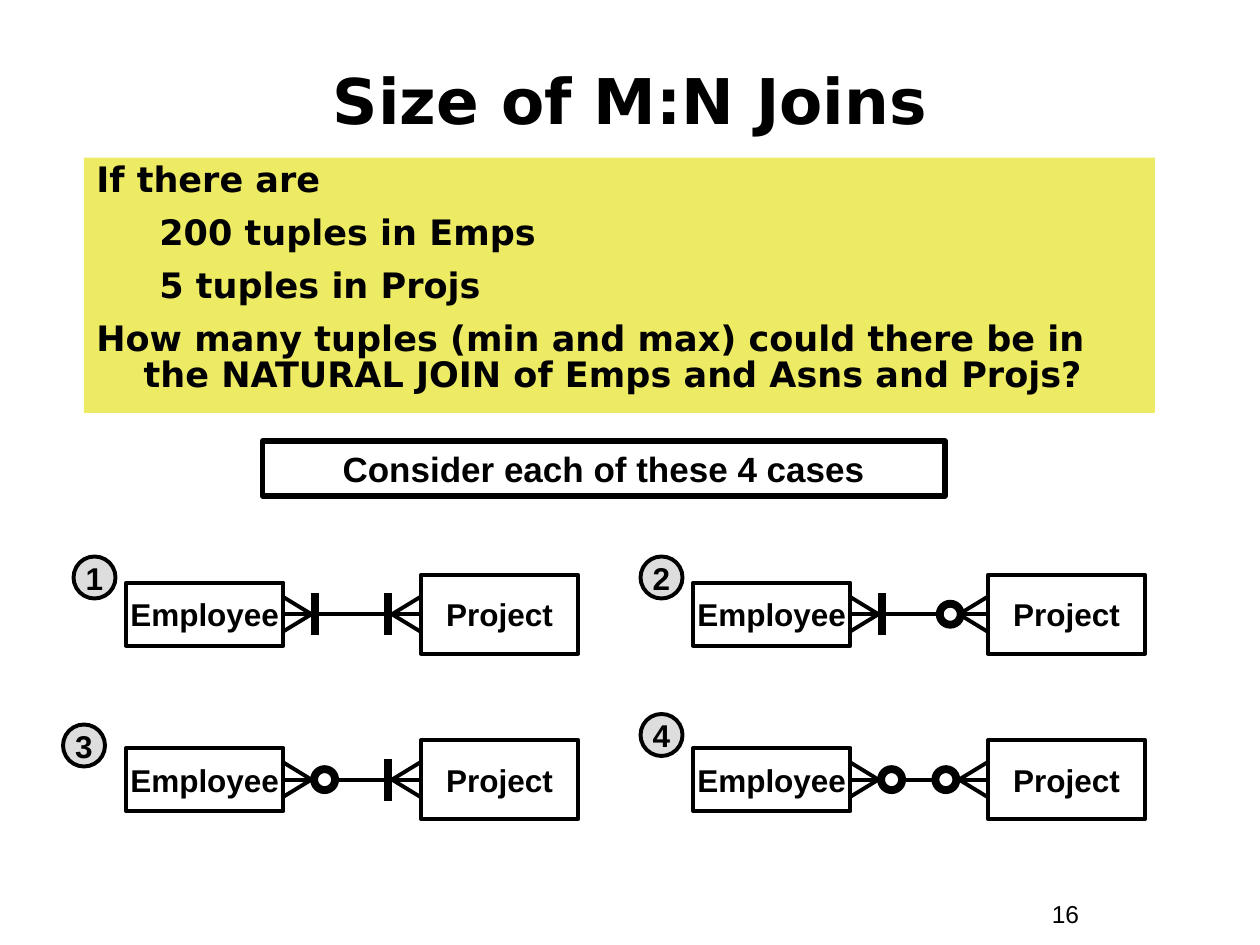
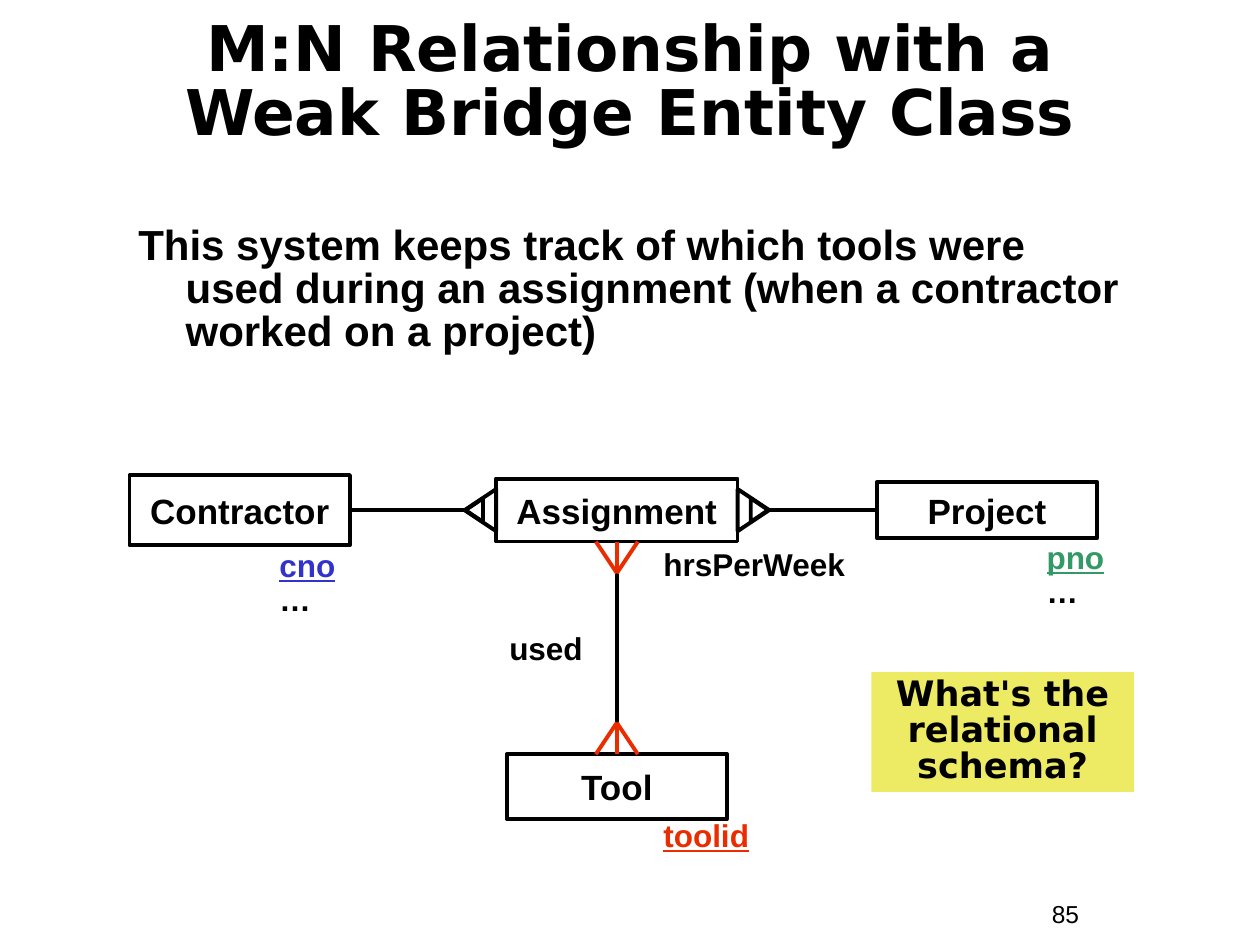
from dataclasses import dataclass
from typing import NamedTuple, Optional

from lxml.etree import SubElement
from pptx import Presentation
from pptx.dml.color import RGBColor
from pptx.enum.shapes import MSO_CONNECTOR, MSO_SHAPE
from pptx.enum.text import MSO_ANCHOR, PP_ALIGN
from pptx.oxml.ns import qn
from pptx.shapes.autoshape import Shape
from pptx.shapes.connector import Connector
from pptx.slide import Slide
from pptx.util import Pt


# Theme: colours, fonts, type sizes and line widths
@dataclass(frozen=True)
class Theme:
    ink: str = "000000"
    paper: str = "FFFFFF"
    panel: str = "EDEA63"
    badge: str = "DDDDDD"
    contractor_key: str = "3333CC"
    project_key: str = "339966"
    tool_key: str = "EA2D00"
    heading_font: str = "DejaVu Sans"
    body_font: str = "Arial"
    title_size: float = 36
    lead_size: float = 24
    text_size: float = 20
    label_size: float = 18
    page_size: float = 14
    thin: float = 2.25
    frame: float = 3
    thick: float = 4.5


THEME = Theme()


class Box(NamedTuple):
    left: float
    top: float
    width: float
    height: float


class Point(NamedTuple):
    x: float
    y: float


@dataclass(frozen=True)
class TextStyle:
    size: float
    font: str = THEME.body_font
    bold: bool = True
    align: PP_ALIGN = PP_ALIGN.LEFT
    anchor: MSO_ANCHOR = MSO_ANCHOR.TOP
    spacing: float = 1.0
    gap: float = 0
    wrap: bool = True


@dataclass(frozen=True)
class Line:
    text: str
    margin: float = 0
    hanging: float = 0
    color: str = THEME.ink
    underline: bool = False


@dataclass(frozen=True)
class Entity:
    name: str
    center: Point
    width: float
    height: float

    def box(self) -> Box:
        return centered(self.center, self.width, self.height)


@dataclass(frozen=True)
class JoinCase:
    number: str
    left: float
    middle: float
    badge: Point
    employee_optional: bool
    project_optional: bool
    employee_mark: float
    project_mark: float


@dataclass(frozen=True)
class Attribute:
    box: Box
    lines: tuple[Line, ...]


TITLE = TextStyle(THEME.title_size, THEME.heading_font, align=PP_ALIGN.CENTER,
                  anchor=MSO_ANCHOR.MIDDLE)
TIGHT_TITLE = TextStyle(THEME.title_size, THEME.heading_font, align=PP_ALIGN.CENTER,
                        anchor=MSO_ANCHOR.MIDDLE, spacing=0.85)
QUESTION = TextStyle(THEME.text_size, THEME.heading_font, spacing=0.85, gap=10)
PROMPT = TextStyle(THEME.text_size, THEME.heading_font, align=PP_ALIGN.CENTER, spacing=0.85)
CAPTION = TextStyle(THEME.text_size, align=PP_ALIGN.CENTER)
LEAD = TextStyle(THEME.lead_size, spacing=0.85)
SMALL_ENTITY = TextStyle(THEME.label_size, align=PP_ALIGN.CENTER,
                         anchor=MSO_ANCHOR.MIDDLE, wrap=False)
LARGE_ENTITY = TextStyle(THEME.text_size, align=PP_ALIGN.CENTER,
                         anchor=MSO_ANCHOR.MIDDLE, wrap=False)
ATTRIBUTE = TextStyle(THEME.label_size, spacing=0.9)
ROLE = TextStyle(THEME.label_size, align=PP_ALIGN.CENTER, spacing=0.8)
PAGE = TextStyle(THEME.page_size, bold=False)


# Drawing helpers
def centered(center: Point, width: float, height: float) -> Box:
    return Box(center.x - width / 2, center.y - height / 2, width, height)


def write(shape: Shape, style: TextStyle, *lines: Line) -> None:
    frame = shape.text_frame
    frame.word_wrap = style.wrap
    frame.vertical_anchor = style.anchor
    for index, line in enumerate(lines):
        paragraph = frame.add_paragraph() if index else frame.paragraphs[0]
        paragraph.text = line.text
        paragraph.alignment = style.align
        paragraph.line_spacing = style.spacing
        if index:
            paragraph.space_before = Pt(style.gap)
        if line.margin:
            properties = paragraph._p.get_or_add_pPr()
            properties.set("marL", str(int(Pt(line.margin))))
            properties.set("indent", str(int(Pt(-line.hanging))))
        for run in paragraph.runs:
            run.font.name = style.font
            run.font.size = Pt(style.size)
            run.font.bold = style.bold
            run.font.underline = line.underline
            run.font.color.rgb = RGBColor.from_string(line.color)


def add_text(slide: Slide, box: Box, style: TextStyle, *lines: Line) -> None:
    write(slide.shapes.add_textbox(*map(Pt, box)), style, *lines)


def add_figure(slide: Slide, box: Box, preset: MSO_SHAPE = MSO_SHAPE.RECTANGLE,
               fill: Optional[str] = None, line_width: float = THEME.thin) -> Shape:
    figure = slide.shapes.add_shape(preset, *map(Pt, box))
    figure.shadow.inherit = False
    if fill:
        figure.fill.solid()
        figure.fill.fore_color.rgb = RGBColor.from_string(fill)
    else:
        figure.fill.background()
    if line_width:
        figure.line.width = Pt(line_width)
        figure.line.color.rgb = RGBColor.from_string(THEME.ink)
    else:
        figure.line.fill.background()
    return figure


def add_line(slide: Slide, start: Point, end: Point, color: str = THEME.ink,
             width: float = THEME.thin) -> Connector:
    line = slide.shapes.add_connector(MSO_CONNECTOR.STRAIGHT, *map(Pt, (*start, *end)))
    line.line.width = Pt(width)
    line.line.color.rgb = RGBColor.from_string(color)
    SubElement(line._element.spPr, qn("a:effectLst"))
    return line


def add_entity(slide: Slide, entity: Entity, style: TextStyle) -> Shape:
    shape = add_figure(slide, entity.box())
    write(shape, style, Line(entity.name))
    return shape


def join(slide: Slide, first: Shape, first_side: int, second: Shape, second_side: int) -> None:
    line = add_line(slide, Point(0, 0), Point(0, 0))
    line.begin_connect(first, first_side)
    line.end_connect(second, second_side)


def add_crows_foot(slide: Slide, tip: Point, base: Point, spread: float,
                   color: str = THEME.ink) -> None:
    horizontal = tip.y == base.y
    for offset in (-spread, 0, spread):
        toe = Point(base.x, base.y + offset) if horizontal else Point(base.x + offset, base.y)
        add_line(slide, tip, toe, color)


def add_cardinality(slide: Slide, center: Point, optional: bool) -> None:
    if optional:
        add_figure(slide, centered(center, 12, 12), MSO_SHAPE.OVAL, THEME.paper, THEME.thick)
    else:
        add_line(slide, Point(center.x, center.y - 12), Point(center.x, center.y + 12),
                 width=THEME.thick)


def add_weak_mark(slide: Slide, edge: Point, direction: int) -> None:
    """Nested triangles that point away from the weak entity."""
    for distance, base, height in ((9, 24, 18), (12.5, 13.5, 10)):
        center = Point(edge.x + direction * distance, edge.y)
        triangle = add_figure(slide, centered(center, base, height),
                              MSO_SHAPE.ISOSCELES_TRIANGLE)
        triangle.rotation = 90 * direction % 360


def add_slide(deck: Presentation, title: str, title_box: Box, style: TextStyle,
              page: str) -> Slide:
    slide = deck.slides.add_slide(deck.slide_layouts[6])
    add_text(slide, title_box, style, Line(title))
    add_text(slide, Box(594, 510, 66, 24), PAGE, Line(page))
    return slide


# Slide 1: four cases of optional and mandatory participation
LEFT_COLUMN, RIGHT_COLUMN = 72, 396
UPPER_ROW, LOWER_ROW = 351, 445.5
JOIN_CASES = (
    JoinCase("1", LEFT_COLUMN, UPPER_ROW, Point(54, 330), False, False, 108, 149.5),
    JoinCase("2", RIGHT_COLUMN, UPPER_ROW, Point(378, 330), False, True, 108, 147),
    JoinCase("3", LEFT_COLUMN, LOWER_ROW, Point(48, 426), True, False, 113.5, 149.5),
    JoinCase("4", RIGHT_COLUMN, LOWER_ROW, Point(378, 420), True, True, 113.5, 144.5),
)


def draw_case(slide: Slide, case: JoinCase) -> None:
    def at(offset: float) -> Point:
        return Point(case.left + offset, case.middle)

    employee = add_entity(slide, Entity("Employee", at(45), 90, 36), SMALL_ENTITY)
    project = add_entity(slide, Entity("Project", at(213.5), 90, 45), SMALL_ENTITY)
    join(slide, employee, 3, project, 1)
    add_crows_foot(slide, at(106), at(90), 9.75)
    add_crows_foot(slide, at(152), at(168), 9.75)
    add_cardinality(slide, at(case.employee_mark), case.employee_optional)
    add_cardinality(slide, at(case.project_mark), case.project_optional)
    badge = add_figure(slide, centered(case.badge, 24, 24), MSO_SHAPE.OVAL, THEME.badge)
    write(badge, SMALL_ENTITY, Line(case.number))


def build_join_sizes(deck: Presentation) -> None:
    slide = add_slide(deck, "Size of M:N Joins", Box(24, 24, 672, 66), TITLE, "16")
    question = add_figure(slide, Box(48, 90, 612, 146), fill=THEME.panel, line_width=0)
    write(question, QUESTION,
          Line("If there are", 27, 27),
          Line("200 tuples in Emps", 58.5, 22.5),
          Line("5 tuples in Projs", 58.5, 22.5),
          Line("How many tuples (min and max) could there be in the NATURAL JOIN "
               "of Emps and Asns and Projs?", 27, 27))
    caption = add_figure(slide, Box(150, 252, 390, 31.5), line_width=THEME.frame)
    write(caption, CAPTION, Line("Consider each of these 4 cases"))
    for case in JOIN_CASES:
        draw_case(slide, case)


# Slide 2: a weak entity that bridges two others
AXIS_X, AXIS_Y = 352.5, 291.5
CONTRACTOR = Entity("Contractor", Point(137, AXIS_Y), 126, 40)
ASSIGNMENT = Entity("Assignment", Point(AXIS_X, AXIS_Y), 138, 36)
PROJECT = Entity("Project", Point(564, AXIS_Y), 126, 32)
TOOL = Entity("Tool", Point(AXIS_X, 449.5), 126, 37)
ATTRIBUTES = (
    Attribute(Box(152.5, 311, 90, 46),
              (Line("cno", color=THEME.contractor_key, underline=True), Line("…"))),
    Attribute(Box(591, 306.5, 72, 46),
              (Line("pno", color=THEME.project_key, underline=True), Line("…"))),
    Attribute(Box(372, 310.5, 132, 27), (Line("hrsPerWeek"),)),
    Attribute(Box(372, 465, 96, 27), (Line("toolid", color=THEME.tool_key, underline=True),)),
)


def build_weak_bridge(deck: Presentation) -> None:
    slide = add_slide(deck, "M:N Relationship with a\vWeak Bridge Entity Class",
                      Box(12, 24, 696, 48), TIGHT_TITLE, "85")
    add_text(slide, Box(72, 126, 576, 81), LEAD,
             Line("This system keeps track of which tools were used during an assignment "
                  "(when a contractor worked on a project)", 27, 27))
    contractor, assignment, project, tool = (
        add_entity(slide, entity, LARGE_ENTITY)
        for entity in (CONTRACTOR, ASSIGNMENT, PROJECT, TOOL))

    # Identifying relationships on both sides of the bridge
    for owner, side, direction in ((contractor, 3, -1), (project, 1, 1)):
        edge = Point(AXIS_X + direction * ASSIGNMENT.width / 2, AXIS_Y)
        tip = Point(edge.x + direction * 18, AXIS_Y)
        add_line(slide, tip, tip).begin_connect(owner, side)
        add_weak_mark(slide, edge, direction)

    # Many-to-many link to the tools
    join(slide, assignment, 2, tool, 0)
    for base_y, depth in ((309.5, 18), (431, -18)):
        add_crows_foot(slide, Point(AXIS_X, base_y + depth), Point(AXIS_X, base_y), 12,
                       THEME.tool_key)
    add_text(slide, Box(264, 360, 96, 24.5), ROLE, Line("used"))

    for attribute in ATTRIBUTES:
        add_text(slide, attribute.box, ATTRIBUTE, *attribute.lines)
    prompt = add_figure(slide, Box(498, 384, 150, 68.5), fill=THEME.panel, line_width=0)
    write(prompt, PROMPT, Line("What's the relational schema?"))


def main() -> None:
    deck = Presentation()
    deck.slide_width, deck.slide_height = Pt(720), Pt(540)
    build_join_sizes(deck)
    build_weak_bridge(deck)
    deck.save("out.pptx")


if __name__ == "__main__":
    main()
